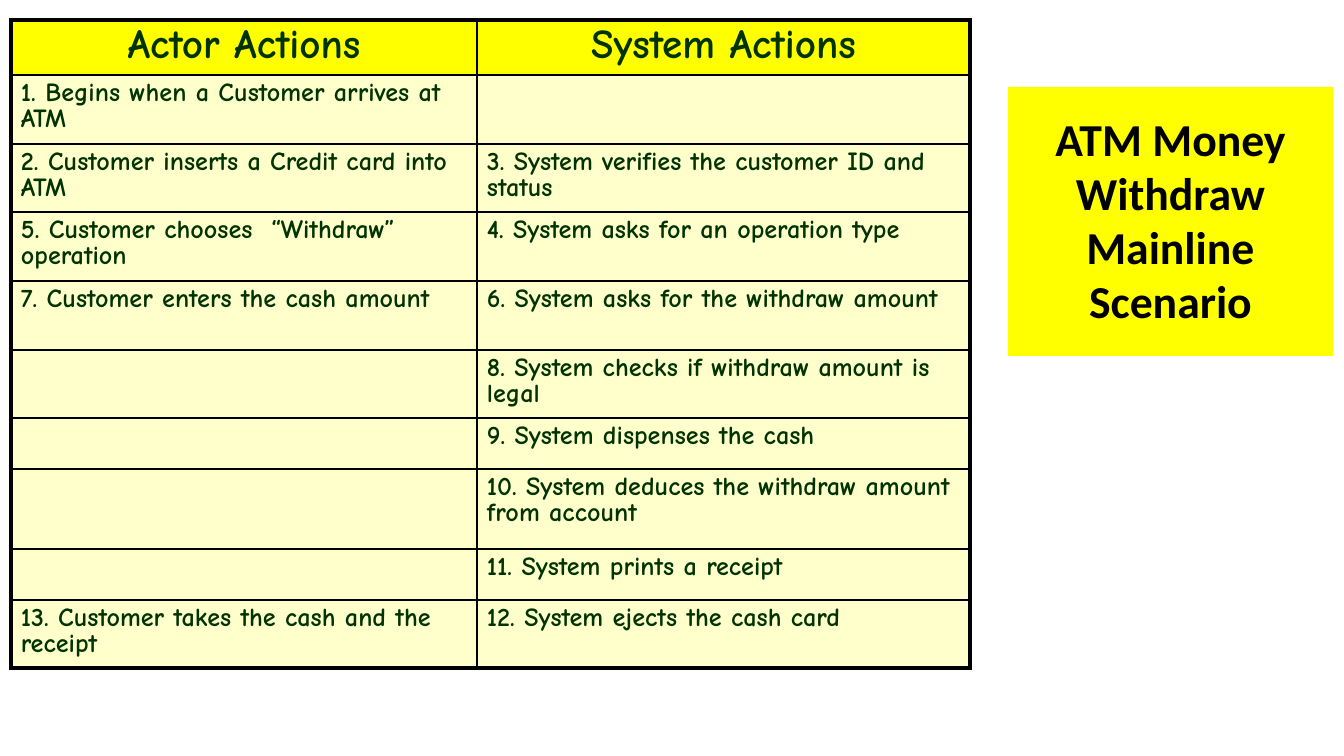
from dataclasses import dataclass

from lxml.etree import SubElement
from pptx import Presentation
from pptx.dml.color import RGBColor
from pptx.enum.shapes import MSO_SHAPE as Preset
from pptx.enum.text import MSO_ANCHOR as Anchor, PP_ALIGN as Align
from pptx.oxml.ns import qn
from pptx.slide import Slide
from pptx.table import _Cell as Cell
from pptx.text.text import _Paragraph as Paragraph
from pptx.util import Emu, Pt

EMU_PER_PX = 914400 / 134.4
COLORS = {
    "yellow": "FFFF00",
    "cream": "FFFFCC",
    "green": "003300",
    "black": "000000",
}
THIN, THICK = 1, 2.25


@dataclass(frozen=True)
class Box:
    left: int
    top: int
    width: int
    height: int

    def emu(self) -> list[Emu]:
        return [px(value) for value in (self.left, self.top, self.width, self.height)]


@dataclass(frozen=True)
class Step:
    """One table row: what the actor does and what the system does."""
    height: int
    actor: str = ""
    system: str = ""


@dataclass(frozen=True)
class TextStyle:
    font: str
    size: float
    color: str
    align: Align
    line_spacing: float
    space_after: float = 0


HEADING = TextStyle("Comic Neue", 22, "green", Align.CENTER, 0.88, 13.8)
BODY = TextStyle("Comic Neue", 14, "green", Align.LEFT, 0.88, 13.8)
TITLE = TextStyle("Calibri", 24.5, "black", Align.CENTER, 0.98)

TITLE_BOX = Box(1008, 87, 325, 269)
TABLE_LEFT, TABLE_TOP = 11, 20
COLUMN_WIDTHS = (466, 493)
STEPS = (
    Step(55, "Actor Actions", "System Actions"),
    Step(69, "1. Begins when a Customer arrives at ATM"),
    Step(68, "2. Customer inserts a Credit card into ATM",
         "3. System verifies the customer ID and status"),
    Step(69, "5. Customer chooses  “Withdraw” operation",
         "4. System asks for an operation type"),
    Step(69, "7. Customer enters the cash amount",
         "6. System asks for the withdraw amount"),
    Step(68, system="8. System checks if withdraw amount is legal"),
    Step(48, system="9. System dispenses the cash"),
    Step(80, system="10. System deduces the withdraw amount from account"),
    Step(48, system="11. System prints a receipt"),
    Step(68, "13. Customer takes the cash and the receipt",
         "12. System ejects the cash card"),
)


def px(value: int) -> Emu:
    return Emu(round(value * EMU_PER_PX))


def rgb(name: str) -> RGBColor:
    return RGBColor.from_string(COLORS[name])


def style_paragraph(paragraph: Paragraph, style: TextStyle) -> None:
    paragraph.alignment = style.align
    paragraph.line_spacing = style.line_spacing
    paragraph.space_after = Pt(style.space_after)
    for run in paragraph.runs:
        run.font.name = style.font
        run.font.size = Pt(style.size)
        run.font.bold = True
        run.font.color.rgb = rgb(style.color)


def set_borders(cell: Cell, widths: dict[str, float]) -> None:
    """Draw black cell borders, given point widths by side tag."""
    properties = cell._tc.get_or_add_tcPr()
    for index, (side, width) in enumerate(widths.items()):
        line = properties.makeelement(qn(f"a:{side}"), {"w": str(Pt(width))})
        fill = SubElement(line, qn("a:solidFill"))
        SubElement(fill, qn("a:srgbClr"), {"val": COLORS["black"]})
        properties.insert(index, line)


def fill_cell(cell: Cell, text: str, style: TextStyle, fill: str) -> None:
    cell.margin_left = cell.margin_right = px(10)
    cell.margin_top = cell.margin_bottom = px(5)
    cell.fill.solid()
    cell.fill.fore_color.rgb = rgb(fill)
    cell.text_frame.text = text
    style_paragraph(cell.text_frame.paragraphs[0], style)


def draw_scenario_table(slide: Slide, steps: tuple[Step, ...]) -> None:
    box = Box(TABLE_LEFT, TABLE_TOP, sum(COLUMN_WIDTHS), sum(step.height for step in steps))
    table = slide.shapes.add_table(len(steps), len(COLUMN_WIDTHS), *box.emu()).table
    for column, width in zip(table.columns, COLUMN_WIDTHS):
        column.width = px(width)
    last_row, last_column = len(steps) - 1, len(COLUMN_WIDTHS) - 1
    for row, step in enumerate(steps):
        table.rows[row].height = px(step.height)
        style, fill = (BODY, "cream") if row else (HEADING, "yellow")
        for column, text in enumerate((step.actor, step.system)):
            cell = table.cell(row, column)
            fill_cell(cell, text, style, fill)
            set_borders(cell, {
                "lnL": THICK if column == 0 else THIN,
                "lnR": THICK if column == last_column else THIN,
                "lnT": THICK if row == 0 else THIN,
                "lnB": THICK if row == last_row else THIN,
            })


def draw_title(slide: Slide, text: str) -> None:
    shape = slide.shapes.add_shape(Preset.RECTANGLE, *TITLE_BOX.emu())
    shape.shadow.inherit = False
    shape.fill.solid()
    shape.fill.fore_color.rgb = rgb("yellow")
    shape.line.fill.background()
    frame = shape.text_frame
    frame.word_wrap = True
    frame.vertical_anchor = Anchor.MIDDLE
    frame.text = text
    style_paragraph(frame.paragraphs[0], TITLE)


def main() -> None:
    presentation = Presentation()
    presentation.slide_width, presentation.slide_height = px(1344), px(756)
    slide = presentation.slides.add_slide(presentation.slide_layouts[6])
    draw_title(slide, "ATM Money Withdraw Mainline Scenario")
    draw_scenario_table(slide, STEPS)
    presentation.save("out.pptx")


if __name__ == "__main__":
    main()
